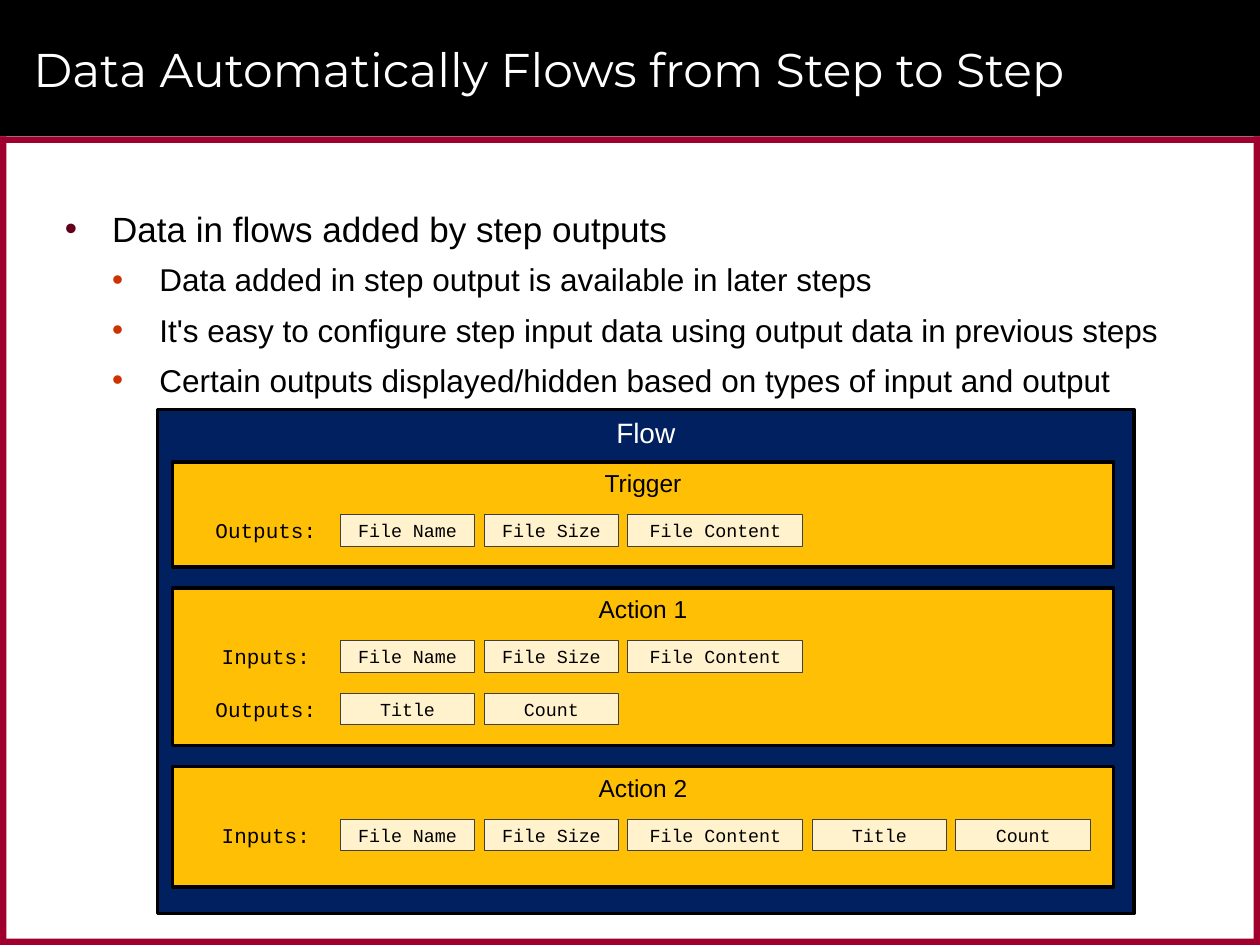
from lxml import etree
from pptx import Presentation
from pptx.dml.color import RGBColor
from pptx.enum import shapes, text
from pptx.oxml import ns
from pptx.util import Pt

BLACK = RGBColor(0x00, 0x00, 0x00)
WHITE = RGBColor(0xFF, 0xFF, 0xFF)
CRIMSON = RGBColor(0x9F, 0x00, 0x2D)
NAVY = RGBColor(0x00, 0x20, 0x60)
AMBER = RGBColor(0xFF, 0xBF, 0x05)
CREAM = RGBColor(0xFF, 0xF2, 0xCD)
GREY = RGBColor(0x40, 0x40, 0x40)
MAROON = RGBColor(0x60, 0x00, 0x1B)
RUST = RGBColor(0xCC, 0x33, 0x00)

WIDTH, HEIGHT = 720, 540
HEADER_HEIGHT = 78
EDGE = 3.6

FILE_FIELDS = ["File Name", "File Size", "File Content"]
NEW_FIELDS = ["Title", "Count"]
CHIP_WIDTHS = {"File Content": 100}
CHIP_WIDTH, CHIP_HEIGHT, CHIP_GAP = 77, 18, 5.2
ROW_PITCH = 30

# Name, top within the flow, height, rows of labelled fields
STEPS = [
    ("Trigger", 30, 60, [("Outputs:", FILE_FIELDS)]),
    ("Action 1", 102, 90, [("Inputs:", FILE_FIELDS), ("Outputs:", NEW_FIELDS)]),
    ("Action 2", 204, 69, [("Inputs:", FILE_FIELDS + NEW_FIELDS)]),
]

BULLETS = [
    (0, "Data in flows added by step outputs"),
    (1, "Data added in step output is available in later steps"),
    (1, "It's easy to configure step input data using output data in previous steps"),
    (1, "Certain outputs displayed/hidden based on types of input and output"),
]
# Size, left margin, hanging indent, space before, space after, bullet colour
LEVELS = [(20, 27, 27, 6, 2, MAROON), (18, 54, 27, 3, 3, RUST)]


def add_span(para, wording, font, size, colour):
    span = para.add_run()
    span.text = wording
    span.font.name = font
    span.font.size = Pt(size)
    span.font.color.rgb = colour


def write(shape, wording, font, size, colour,
          align=text.PP_ALIGN.CENTER, anchor=text.MSO_ANCHOR.MIDDLE):
    frame = shape.text_frame
    frame.word_wrap = True
    frame.vertical_anchor = anchor
    para = frame.paragraphs[0]
    para.alignment = align
    add_span(para, wording, font, size, colour)


def add_box(page, left, top, width, height, fill, line=None, line_width=0):
    box = page.shapes.add_shape(shapes.MSO_SHAPE.RECTANGLE,
                                Pt(left), Pt(top), Pt(width), Pt(height))
    box.shadow.inherit = False
    box.fill.solid()
    box.fill.fore_color.rgb = fill
    if line is None:
        box.line.fill.background()
    else:
        box.line.color.rgb = line
        box.line.width = Pt(line_width)
    return box


def add_label(page, left, top, width, height):
    return page.shapes.add_textbox(Pt(left), Pt(top), Pt(width), Pt(height))


def set_bullet(para, margin, hang, colour):
    props = para._p.get_or_add_pPr()
    props.set("marL", str(Pt(margin)))
    props.set("indent", str(-Pt(hang)))
    tint = etree.SubElement(props, ns.qn("a:buClr"))
    etree.SubElement(tint, ns.qn("a:srgbClr"), val=str(colour))
    etree.SubElement(props, ns.qn("a:buFont"), typeface="Arial")
    etree.SubElement(props, ns.qn("a:buChar"), char="•")


def add_frame(page, left, top, width, height):
    """Black header band above a crimson border."""
    add_box(page, left, top, width, HEADER_HEIGHT, BLACK)
    border_top = top + HEADER_HEIGHT
    border_height = height - HEADER_HEIGHT
    for y in (border_top, top + height - EDGE):
        add_box(page, left, y, width, EDGE, CRIMSON)
    for x in (left, left + width - EDGE):
        add_box(page, x, border_top, EDGE, border_height, CRIMSON)


def add_title(page, left, top, width, height):
    write(add_label(page, left, top, width, height),
          "Data Automatically Flows from Step to Step",
          "Montserrat", 27, WHITE, align=text.PP_ALIGN.LEFT)


def add_bullets(page, left, top, width, height):
    frame = add_label(page, left, top, width, height).text_frame
    frame.word_wrap = True
    for index, (level, wording) in enumerate(BULLETS):
        size, margin, hang, before, after, colour = LEVELS[level]
        para = frame.add_paragraph() if index else frame.paragraphs[0]
        para.level = level
        para.line_spacing = 1.05
        para.space_before = Pt(before)
        para.space_after = Pt(after)
        set_bullet(para, margin, hang, colour)
        add_span(para, wording, "Arial", size, BLACK)


def add_field_row(page, left, top, label, fields):
    write(add_label(page, left, top, 79, CHIP_HEIGHT),
          label, "Courier New", 12, BLACK)
    x = left + 82
    for field in fields:
        width = CHIP_WIDTHS.get(field, CHIP_WIDTH)
        chip = add_box(page, x, top, width, CHIP_HEIGHT, CREAM, GREY, 0.5)
        write(chip, field, "Courier New", 10.5, BLACK)
        x += width + CHIP_GAP


def add_step(page, left, top, width, height, name, rows):
    panel = add_box(page, left, top, width, height, AMBER, BLACK, 2)
    write(panel, name, "Arial", 14, BLACK, anchor=text.MSO_ANCHOR.TOP)
    for index, (label, fields) in enumerate(rows, start=1):
        add_field_row(page, left + 13.8, top + index * ROW_PITCH, label, fields)


def add_flow(page, left, top, width, height):
    panel = add_box(page, left, top, width, height, NAVY, BLACK, 2)
    write(panel, "Flow", "Arial", 16, WHITE, anchor=text.MSO_ANCHOR.TOP)
    for name, offset, step_height, rows in STEPS:
        add_step(page, left + 8.6, top + offset, width - 20.2, step_height,
                 name, rows)


def main():
    deck = Presentation()
    deck.slide_width, deck.slide_height = Pt(WIDTH), Pt(HEIGHT)
    page = deck.slides.add_slide(deck.slide_layouts[6])
    add_frame(page, 0, 0, WIDTH, HEIGHT)
    add_title(page, 12, 6, 678, 66)
    add_bullets(page, 30, 114, 660, 408)
    add_flow(page, 90, 234, 558, 288)
    deck.save("out.pptx")


if __name__ == "__main__":
    main()
